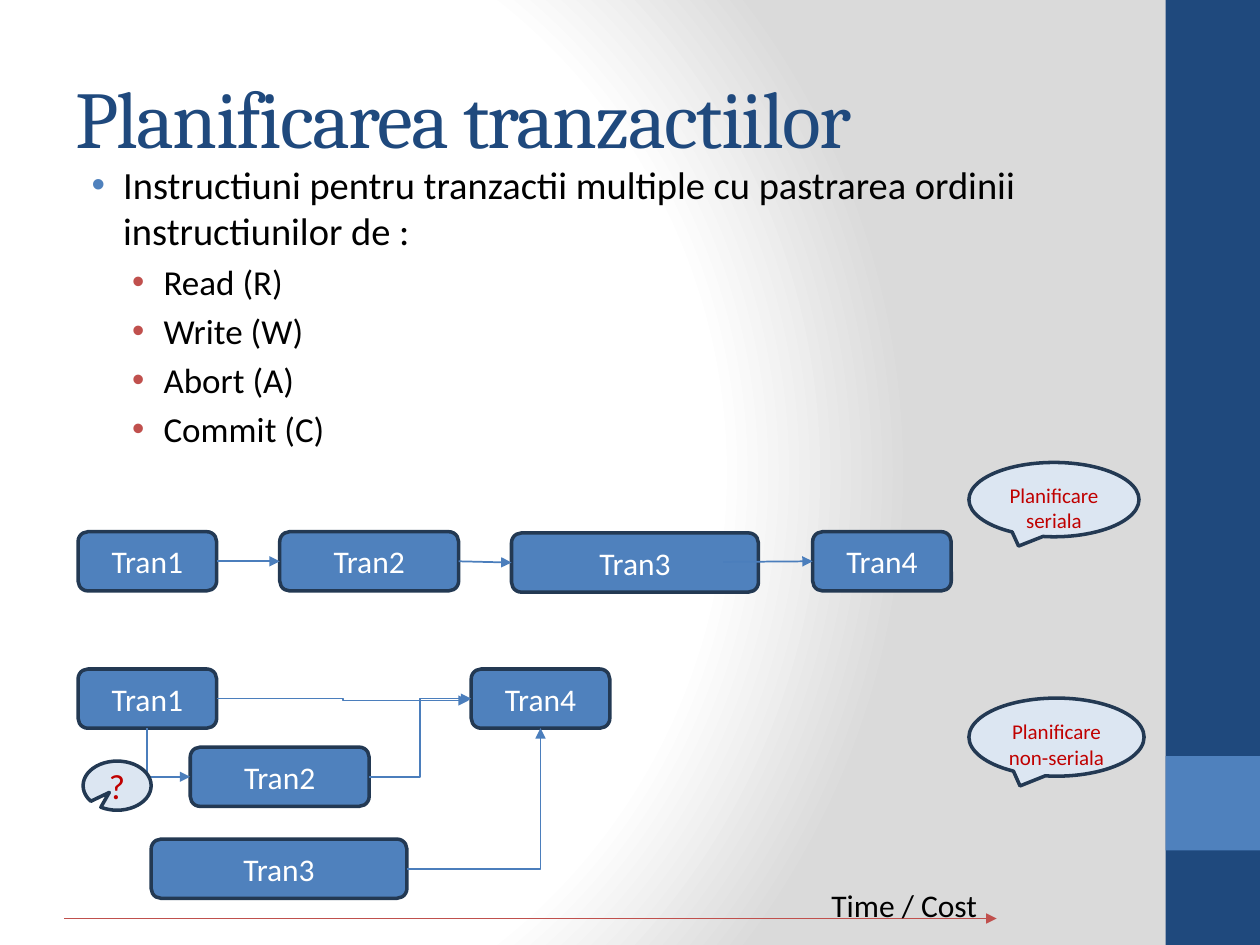
"""Build the slide on serial and non-serial transaction scheduling."""
from typing import NamedTuple

import pptx
import pptx.dml.color
import pptx.enum.shapes
import pptx.enum.text
import pptx.oxml
import pptx.oxml.ns
import pptx.util

RGBColor = pptx.dml.color.RGBColor
SHAPE = pptx.enum.shapes.MSO_SHAPE
CONNECTOR = pptx.enum.shapes.MSO_CONNECTOR
ANCHOR = pptx.enum.text.MSO_ANCHOR
ALIGN = pptx.enum.text.PP_ALIGN
Pt = pptx.util.Pt
qn = pptx.oxml.ns.qn

NAVY = RGBColor(0x1F, 0x49, 0x7D)
BLUE = RGBColor(0x4F, 0x81, 0xBD)
LINK_BLUE = RGBColor(0x4B, 0x7E, 0xBC)
OUTLINE = RGBColor(0x23, 0x39, 0x53)
PALE = RGBColor(0xDC, 0xE6, 0xF2)
RED = RGBColor(0xC0, 0x50, 0x4D)
DARK_RED = RGBColor(0xC0, 0x00, 0x00)
WHITE = RGBColor(0xFF, 0xFF, 0xFF)
GREY = RGBColor(0xDA, 0xDA, 0xDA)
BLACK = RGBColor(0x00, 0x00, 0x00)

COLUMNS, ROWS = 100, 75
CELL = pptx.util.Inches(0.1)
TRAN_HEIGHT = 4.7
NS = pptx.oxml.ns.nsdecls("a")


class Point(NamedTuple):
    x: float
    y: float


class Box(NamedTuple):
    left: float
    top: float
    width: float
    height: float = TRAN_HEIGHT

    @property
    def right_mid(self) -> Point:
        return Point(self.left + self.width, self.top + self.height / 2)

    @property
    def left_mid(self) -> Point:
        return Point(self.left, self.top + self.height / 2)

    @property
    def foot(self) -> Point:
        return Point(self.left + self.width / 2, self.top + self.height)


class Link(NamedTuple):
    start: Point
    end: Point
    preset: str = "line"
    down_first: bool = False
    color: RGBColor = LINK_BLUE


class Callout(NamedTuple):
    text: str
    box: Box
    size: int = 12
    tail: tuple = ()
    top_inset: float = 0.75
    anchor: ANCHOR = ANCHOR.TOP


class Bullet(NamedTuple):
    text: str
    size: int
    level: int
    indent: float
    color: RGBColor


SERIAL = {
    "Tran1": Box(6.2, 42.2, 11),
    "Tran2": Box(22.2, 42.2, 14.2),
    "Tran3": Box(40.6, 42.3, 19.6),
    "Tran4": Box(64.5, 42.2, 11),
}
NON_SERIAL = {
    "Tran1": Box(6.2, 53.1, 11),
    "Tran2": Box(15.1, 59.3, 14.2),
    "Tran3": Box(12, 66.6, 20.3),
    "Tran4": Box(37.4, 53.1, 11),
}
LINKS = [
    Link(SERIAL["Tran1"].right_mid, SERIAL["Tran2"].left_mid),
    Link(SERIAL["Tran2"].right_mid, SERIAL["Tran3"].left_mid),
    Link(Point(57.4, 44.6), SERIAL["Tran4"].left_mid),
    Link(NON_SERIAL["Tran1"].right_mid, Point(37.2, 55.6), "bentConnector3"),
    Link(NON_SERIAL["Tran2"].right_mid, NON_SERIAL["Tran4"].left_mid, "bentConnector3"),
    Link(NON_SERIAL["Tran3"].right_mid, NON_SERIAL["Tran4"].foot, "bentConnector2"),
    Link(NON_SERIAL["Tran1"].foot, NON_SERIAL["Tran2"].left_mid, "bentConnector2", True),
    Link(Point(5.1, 72.9), Point(79.1, 72.9), color=RED),
]
CALLOUTS = [
    Callout("Planificare seriala", Box(76.9, 36.7, 13.5, 5.9)),
    Callout("Planificare non-seriala", Box(76.9, 55.4, 13.9, 6.2)),
    Callout("?", Box(6.6, 60.4, 5.4, 3.9), 20, (-0.114, 0.138), 0.5, ANCHOR.MIDDLE),
]
BULLETS = [
    Bullet("Instructiuni pentru tranzactii multiple cu pastrarea ordinii instructiunilor de :",
           22, 0, 3.8, BLUE),
    *(Bullet(text, 20, 1, 7, RED)
      for text in ("Read (R)", "Write (W)", "Abort (A)", "Commit (C)")),
]


def cells(*lengths: float) -> list[int]:
    """Convert grid lengths to slide units."""
    return [round(length * CELL) for length in lengths]


def set_font(p, size: float, color: RGBColor, name: str = "Calibri") -> None:
    """Format every run of a paragraph."""
    for r in p.runs:
        r.font.size, r.font.name = Pt(size), name
        r.font.color.rgb = color


def paint_background(s) -> None:
    """Fill the background with a circular gradient."""
    s.background.fill.solid()
    bg = s.element.find(".//" + qn("p:bgPr"))
    stops = "".join(f'<a:gs pos="{pos}"><a:srgbClr val="{color}"/></a:gs>'
                    for pos, color in ((0, WHITE), (75000, WHITE), (100000, GREY)))
    bg.replace(bg[0], pptx.oxml.parse_xml(
        f'<a:gradFill {NS} rotWithShape="1"><a:gsLst>{stops}</a:gsLst>'
        '<a:path path="circle"><a:fillToRect l="20000" t="50000" r="100000" b="50000"/>'
        '</a:path></a:gradFill>'))


def add_block(s, preset: SHAPE, box: Box, fill: RGBColor, outlined: bool = True):
    """Add a filled shape, outlined or plain."""
    sp = s.shapes.add_shape(preset, *cells(*box))
    sp.shadow.inherit = False
    sp.fill.solid()
    sp.fill.fore_color.rgb = fill
    if outlined:
        sp.line.color.rgb, sp.line.width = OUTLINE, Pt(2)
    else:
        sp.line.fill.background()
    return sp


def set_label(sp, text: str, size: float, color: RGBColor) -> None:
    """Write centred text in a shape."""
    tf = sp.text_frame
    tf.word_wrap, tf.vertical_anchor = True, ANCHOR.MIDDLE
    p = tf.paragraphs[0]
    p.text, p.alignment = text, ALIGN.CENTER
    set_font(p, size, color)


def add_link(s, link: Link) -> None:
    """Draw an arrow, turning its frame when it leaves downwards."""
    (x1, y1), (x2, y2) = link.start, link.end
    if link.down_first:
        cx, cy, dx, dy = (x1 + x2) / 2, (y1 + y2) / 2, (x2 - x1) / 2, (y2 - y1) / 2
        x1, y1, x2, y2 = cx + dy, cy - dx, cx - dy, cy + dx
    kind = CONNECTOR.STRAIGHT if link.preset == "line" else CONNECTOR.ELBOW
    c = s.shapes.add_connector(kind, *cells(x1, y1, x2, y2))
    c.line.color.rgb, c.line.width = link.color, Pt(1)
    pr = c._element.spPr
    pr.find(qn("a:prstGeom")).set("prst", link.preset)
    if link.down_first:
        pr.find(qn("a:xfrm")).set("rot", "16200000")
    pr.find(qn("a:ln")).append(pptx.oxml.parse_xml(f'<a:tailEnd {NS} type="triangle"/>'))
    pr.append(pptx.oxml.parse_xml(f"<a:effectLst {NS}/>"))


def add_callout(s, callout: Callout) -> None:
    """Add a speech bubble."""
    sp = add_block(s, SHAPE.OVAL_CALLOUT, callout.box, PALE)
    for i, value in enumerate(callout.tail):
        sp.adjustments[i] = value
    set_label(sp, callout.text, callout.size, DARK_RED)
    tf = sp.text_frame
    tf.vertical_anchor = callout.anchor
    tf.margin_top, = cells(callout.top_inset)


def add_bullets(s, box: Box) -> None:
    """Add the two-level bullet list."""
    tf = s.shapes.add_textbox(*cells(*box)).text_frame
    tf.word_wrap = True
    for i, bullet in enumerate(BULLETS):
        p = tf.add_paragraph() if i else tf.paragraphs[0]
        p.text, p.level = bullet.text, bullet.level
        margin, hanging = cells(bullet.indent, -2.5)
        pr = p._p.get_or_add_pPr()
        pr.set("marL", str(margin))
        pr.set("indent", str(hanging))
        for xml in (f'<a:buClr {NS}><a:srgbClr val="{bullet.color}"/></a:buClr>',
                    f'<a:buFont {NS} typeface="Arial"/>', f'<a:buChar {NS} char="•"/>'):
            pr.append(pptx.oxml.parse_xml(xml))
        if i:
            p.space_before = Pt(0.2 * bullet.size)
        set_font(p, bullet.size, BLACK)


def add_title(s, box: Box) -> None:
    """Place and format the title."""
    sp = s.shapes.title
    sp.left, sp.top, sp.width, sp.height = cells(*box)
    tf = sp.text_frame
    tf.text = "Planificarea tranzactiilor"
    tf.vertical_anchor, tf.auto_size = ANCHOR.MIDDLE, pptx.enum.text.MSO_AUTO_SIZE.NONE
    p = tf.paragraphs[0]
    p.alignment = ALIGN.LEFT
    set_font(p, 46, NAVY, "Cambria")
    p.runs[0]._r.get_or_add_rPr().set("spc", "-100")


def main() -> None:
    """Assemble and save the slide."""
    prs = pptx.Presentation()
    prs.slide_width, prs.slide_height = cells(COLUMNS, ROWS)
    s = prs.slides.add_slide(prs.slide_layouts[5])
    paint_background(s)
    add_block(s, SHAPE.RECTANGLE, Box(92.5, 0, 7.5, ROWS), NAVY, False)
    add_block(s, SHAPE.RECTANGLE, Box(92.5, 60, 7.5, 7.5), BLUE, False)
    add_title(s, Box(5, 3, 83.3, 12.5))
    add_bullets(s, Box(5, 12.3, 83.3, 57.7))
    for schedule in (SERIAL, NON_SERIAL):
        for name, box in schedule.items():
            set_label(add_block(s, SHAPE.ROUNDED_RECTANGLE, box, BLUE), name, 18, WHITE)
    for link in LINKS:
        add_link(s, link)
    tf = s.shapes.add_textbox(*cells(65, 69.8, 15.7, 4)).text_frame
    tf.text, tf.word_wrap = "Time / Cost", True
    set_font(tf.paragraphs[0], 18, BLACK)
    for callout in CALLOUTS:
        add_callout(s, callout)
    prs.save("out.pptx")


if __name__ == "__main__":
    main()
